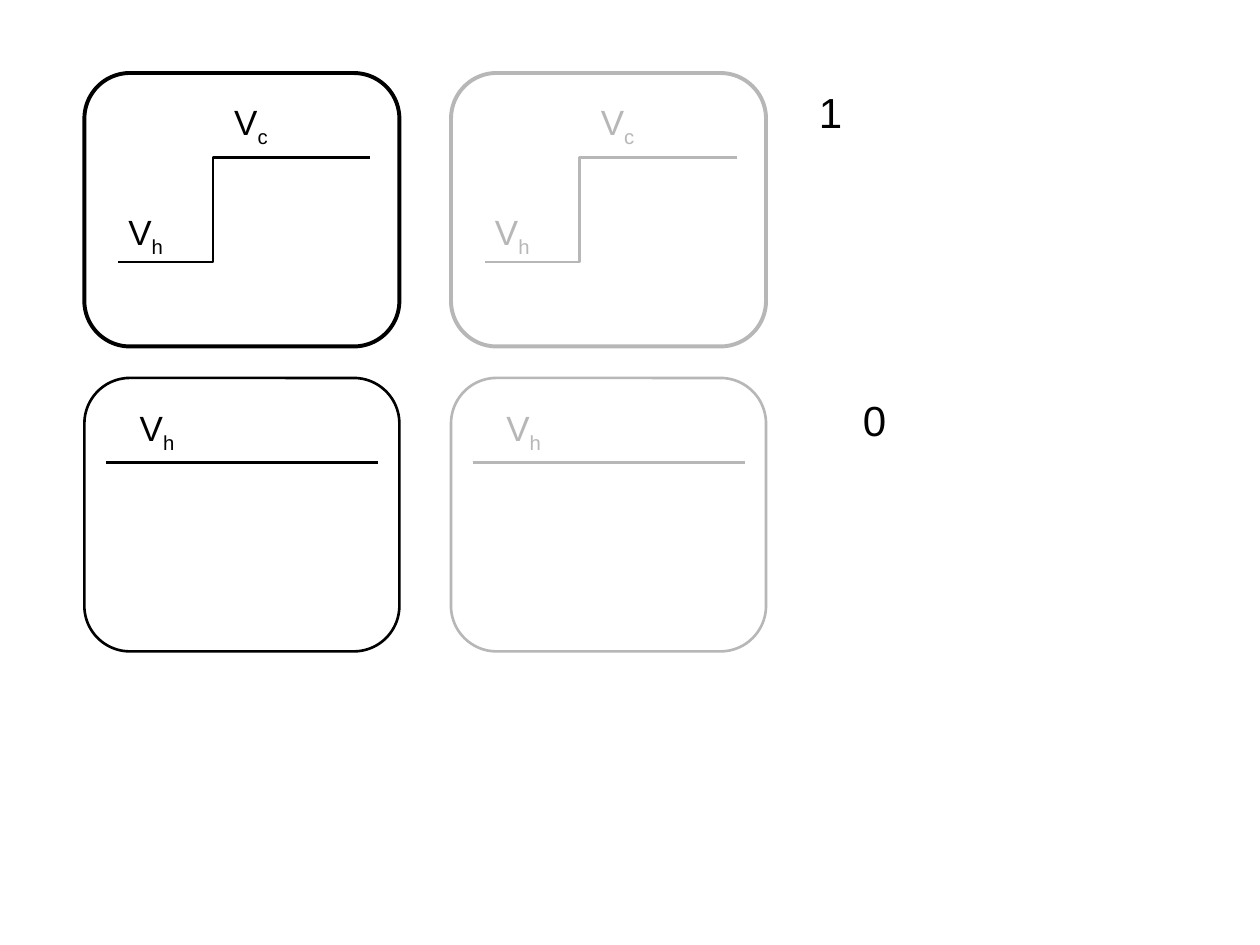
"""Build a slide of four voltage panels with state labels."""
from dataclasses import dataclass

from lxml import etree
from pptx import Presentation
from pptx.dml.color import RGBColor
from pptx.enum.shapes import MSO_CONNECTOR, MSO_SHAPE
from pptx.enum.text import MSO_AUTO_SIZE
from pptx.oxml.ns import qn
from pptx.util import Inches, Pt

ROUND = MSO_SHAPE.ROUNDED_RECTANGLE
STRAIGHT = MSO_CONNECTOR.STRAIGHT
FIT = MSO_AUTO_SIZE.SHAPE_TO_FIT_TEXT
BLACK, GREY, WHITE = "000000", "B7B7B7", "FFFFFF"
WIDTH, HEIGHT = 2.5, 2.17
STEP = [(0.27, 1.5), (1.02, 1.5), (1.02, 0.67), (2.27, 0.67)]


@dataclass
class Panel:
    left: float
    top: float
    color: str


def paint(target, color: str) -> None:
    target.solid()
    target.fore_color.rgb = RGBColor.from_string(color)


def stroke(shape, color: str, width: float) -> None:
    paint(shape.line.fill, color)
    shape.line.width = Pt(width)


def label(shapes, left: float, top: float, size: float, color: str,
          text: str, sub: str = "") -> None:
    wide, high = (0.5, 0.48) if sub else (0.38, 0.5)
    box = shapes.add_textbox(Inches(left), Inches(top), Inches(wide), Inches(high))
    frame = box.text_frame
    frame.word_wrap = False
    frame.auto_size = FIT
    for part in filter(None, (text, sub)):
        run = frame.paragraphs[0].add_run()
        run.text = part
        run.font.name = "Arial"
        run.font.size = Pt(size)
        paint(run.font.fill, color)
        if part == sub:
            run.font._element.set("baseline", "-25000")


def frame_box(shapes, panel: Panel, width: float) -> None:
    box = shapes.add_shape(ROUND, Inches(panel.left), Inches(panel.top),
                           Inches(WIDTH), Inches(HEIGHT))
    box.shadow.inherit = False
    paint(box.fill, WHITE)
    stroke(box, panel.color, width)


def step_panel(slide, panel: Panel) -> None:
    shapes = slide.shapes.add_group_shape().shapes
    frame_box(shapes, panel, 2.25)
    points = [(Inches(panel.left + x), Inches(panel.top + y)) for x, y in STEP]
    pen = shapes.build_freeform(*points[0])
    pen.add_line_segments(points[1:], close=False)
    curve = pen.convert_to_shape()
    curve.shadow.inherit = False
    curve.fill.background()
    stroke(curve, panel.color, 1.5)
    label(shapes, panel.left + 0.25, panel.top + 1.04, 20, panel.color, "V", "h")
    label(shapes, panel.left + 1.09, panel.top + 0.17, 20, panel.color, "V", "c")


def flat_panel(slide, panel: Panel) -> None:
    shapes = slide.shapes.add_group_shape().shapes
    frame_box(shapes, panel, 1.5)
    level = Inches(panel.top + 0.67)
    line = shapes.add_connector(STRAIGHT, Inches(panel.left + 0.17), level,
                                Inches(panel.left + 2.33), level)
    stroke(line, panel.color, 1.5)
    etree.SubElement(line._element.spPr, qn("a:effectLst"))
    label(shapes, panel.left + 0.34, panel.top + 0.18, 20, panel.color, "V", "h")


def main() -> None:
    deck = Presentation()
    deck.slide_width, deck.slide_height = Inches(10), Inches(7.5)
    slide = deck.slides.add_slide(deck.slide_layouts[6])
    for draw, top in ((step_panel, 0.58), (flat_panel, 3)):
        for left, color in ((0.67, BLACK), (3.58, GREY)):
            draw(slide, Panel(left, top, color))
    label(slide.shapes, 6.4, 0.64, 24, BLACK, "1")
    label(slide.shapes, 6.75, 3.08, 24, BLACK, "0")
    deck.save("out.pptx")


if __name__ == "__main__":
    main()
